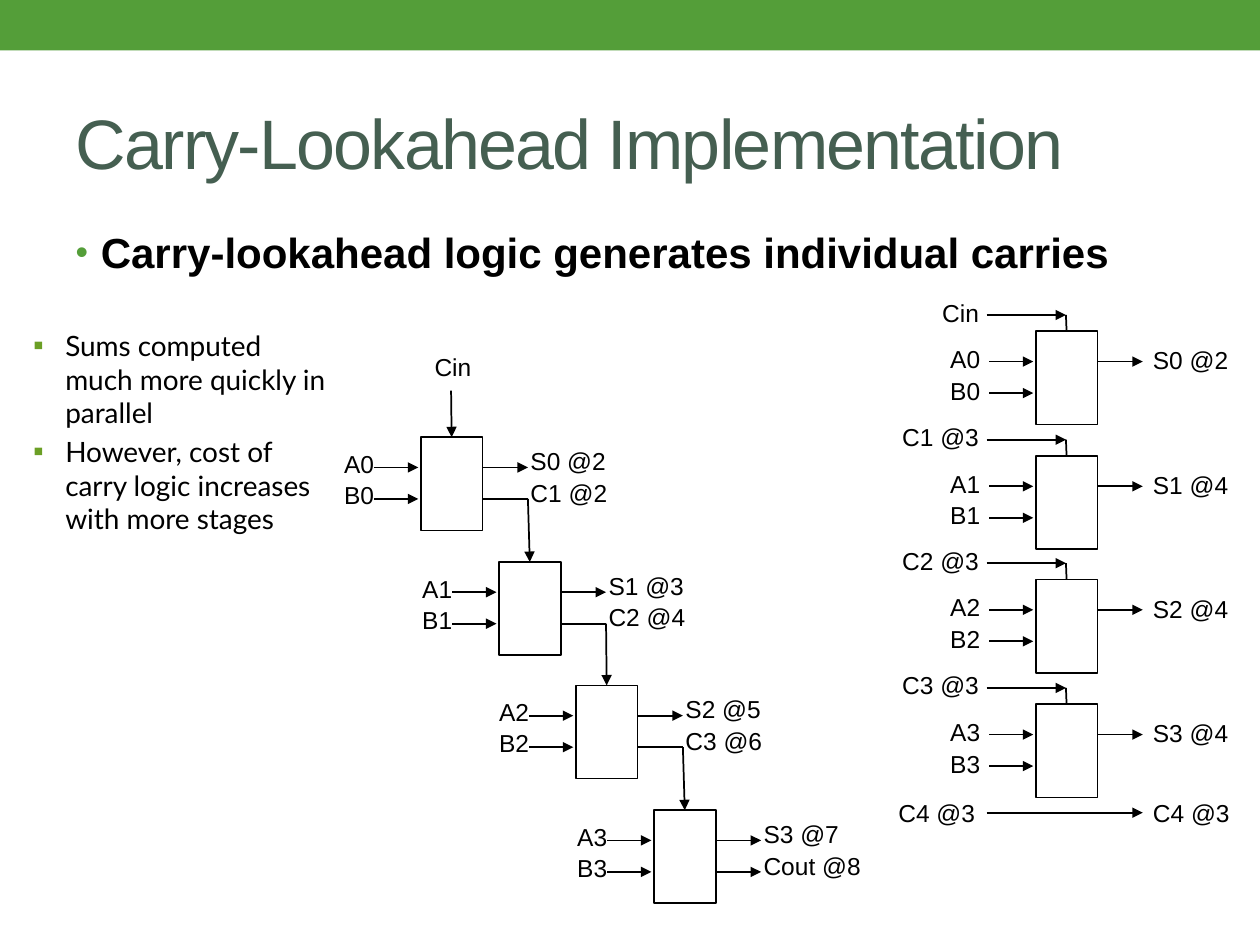
from lxml.etree import SubElement
from pptx import Presentation
from pptx.dml.color import RGBColor
from pptx.enum.shapes import MSO_CONNECTOR, MSO_SHAPE
from pptx.enum.text import MSO_ANCHOR, PP_ALIGN
from pptx.oxml.ns import qn
from pptx.util import Pt

PX = 9144
BLACK = RGBColor(0, 0, 0)
THEME = {
    "band": RGBColor(0x54, 0x9E, 0x39),
    "marker": RGBColor(0x6B, 0x9F, 0x25),
    "line": BLACK,
    "title": {"name": "Arial", "size": Pt(40), "color": RGBColor(0x45, 0x5F, 0x51)},
    "lead": {"name": "Arial", "size": Pt(24), "color": BLACK, "bold": True},
    "note": {"name": "Lato", "size": Pt(16), "color": BLACK},
    "label": {"name": "Arial", "size": Pt(14), "color": BLACK},
}


def write(p, text, style):
    p.text = text
    for r in p.runs:
        for key, value in THEME[style].items():
            if key == "color":
                r.font.color.rgb = value
            else:
                setattr(r.font, key, value)


def wire(x1, y1, x2, y2, arrow=True, box=None):
    c = s.shapes.add_connector(MSO_CONNECTOR.STRAIGHT, *(v * PX for v in (x1, y1, x2, y2)))
    if box is not None:
        c.end_connect(box, 0)
    c.line.color.rgb = THEME["line"]
    c.line.width = Pt(1)
    if arrow:
        SubElement(c.line._get_or_add_ln(), qn("a:tailEnd"), type="triangle")
    SubElement(c._element.spPr, qn("a:effectLst"))


prs = Presentation()
prs.slide_width, prs.slide_height = 1000 * PX, 750 * PX
s = prs.slides.add_slide(prs.slide_layouts[1])

band = s.shapes.add_shape(MSO_SHAPE.RECTANGLE, 0, 0, 1000 * PX, 40 * PX)
band.shadow.inherit = False
band.fill.solid()
band.fill.fore_color.rgb = THEME["band"]
band.line.fill.background()

title, body = s.shapes.title, s.placeholders[1]
notes = s.shapes.add_textbox(0, 0, 0, 0)
for sp, place in (
    (title, (50, 58, 900, 108)),
    (body, (50, 175, 900, 533)),
    (notes, (-8, 256, 283, 182)),
):
    sp.left, sp.top, sp.width, sp.height = (v * PX for v in place)
    sp.text_frame.word_wrap = True

title.text_frame.vertical_anchor = MSO_ANCHOR.MIDDLE
p = title.text_frame.paragraphs[0]
p.alignment = PP_ALIGN.LEFT
write(p, "Carry-Lookahead Implementation", "title")
p.runs[0]._r.get_or_add_rPr().set("spc", "-100")

tf = notes.text_frame
bullets = [
    (body.text_frame.paragraphs[0], "Carry-lookahead logic generates individual carries",
     "lead", 20, 20, "•", "band", 85),
    (tf.paragraphs[0], "Sums computed\vmuch more quickly in parallel",
     "note", 50, 25, "■", "marker", 55),
    (tf.add_paragraph(), "However, cost of\vcarry logic increases with more stages",
     "note", 50, 25, "■", "marker", 55),
]
for p, text, style, margin, hang, char, color, percent in bullets:
    write(p, text, style)
    p.space_before = Pt(THEME[style]["size"].pt // 5)
    pPr = p._p.get_or_add_pPr()
    pPr.set("marL", str(margin * PX))
    pPr.set("indent", str(-hang * PX))
    SubElement(SubElement(pPr, qn("a:buClr")), qn("a:srgbClr"), val=str(THEME[color]))
    SubElement(pPr, qn("a:buSzPct"), val=str(percent * 1000))
    SubElement(pPr, qn("a:buFont"), typeface="Arial")
    SubElement(pPr, qn("a:buChar"), char=char)

ripple = [(334 + round(61.7 * i), 347 + round(98.7 * i)) for i in range(4)]
lookahead = [(822, 263 + round(98.7 * i)) for i in range(4)]
boxes = []
for x, y in ripple + lookahead:
    box = s.shapes.add_shape(MSO_SHAPE.RECTANGLE, x * PX, y * PX, 49 * PX, 74 * PX)
    box.shadow.inherit = False
    box.fill.background()
    box.line.color.rgb = THEME["line"]
    box.line.width = Pt(1)
    boxes.append(box)
    for dy in (24, 49):
        wire(x - 37, y + dy, x - 2, y + dy)
    wire(x + 49, y + 24, x + 85, y + 24)

L, C, R = PP_ALIGN.LEFT, PP_ALIGN.CENTER, PP_ALIGN.RIGHT
labels = [("Cin", 336, 283, 47, C)]
wire(358, 310, 358, 347, box=boxes[0])
ripple_out = [("S0 @2", "C1 @2"), ("S1 @3", "C2 @4"), ("S2 @5", "C3 @6"), ("S3 @7", "Cout @8")]
for i, ((x, y), (total, carry)) in enumerate(zip(ripple, ripple_out)):
    last = i == 3
    wire(x + 49, y + 49, x + 85, y + 49, arrow=last)
    if not last:
        wire(x + 85, y + 49, x + 86, y + 99, box=boxes[i + 1])
    labels += [
        (f"A{i}", x - 69, y + 13, 34, R),
        (f"B{i}", x - 69, y + 38, 34, R),
        (total, x + 85, y + 11, 90, L),
        (carry, x + 85, y + 36, 90, L),
    ]

carries = ["Cin", "C1 @3", "C2 @3", "C3 @3"]
sums = ["S0 @2", "S1 @4", "S2 @4", "S3 @4"]
for i, ((x, y), carry, total) in enumerate(zip(lookahead, carries, sums)):
    wire(783, y - 13, 846, y - 13)
    wire(846, y - 13, 846, y, arrow=False, box=boxes[4 + i])
    labels += [
        (carry, 689, y - 23, 90, R),
        (f"A{i}", x - 76, y + 14, 34, R),
        (f"B{i}", x - 76, y + 39, 34, R),
        (total, 913, y + 15, 82, L),
    ]
wire(783, 645, 907, 645)
labels += [("C4 @3", 686, 637, 90, R), ("C4 @3", 913, 637, 82, L)]

inset = {"margin_left": 2 * PX, "margin_right": 2 * PX, "margin_top": 3 * PX,
         "margin_bottom": 3 * PX, "word_wrap": False}
for text, x, y, w, align in labels:
    tf = s.shapes.add_textbox(x * PX, y * PX, w * PX, 30 * PX).text_frame
    for key, value in inset.items():
        setattr(tf, key, value)
    p = tf.paragraphs[0]
    p.alignment = align
    p.line_spacing = Pt(11.9)
    write(p, text, "label")

prs.save("out.pptx")
